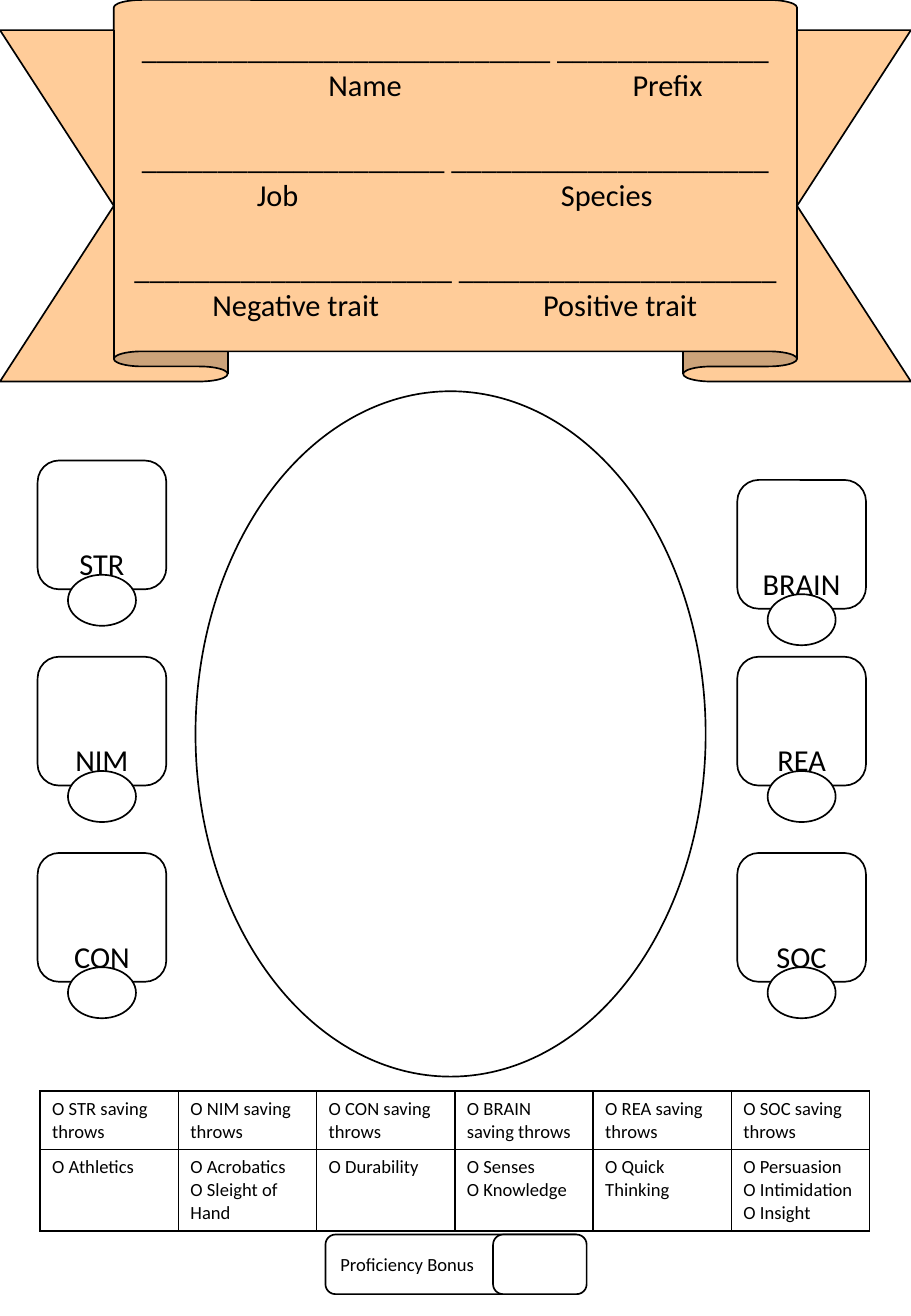
from lxml import etree
from pptx import Presentation
from pptx.dml.color import RGBColor
from pptx.enum.shapes import MSO_SHAPE as Shape
from pptx.enum.text import MSO_ANCHOR as Anchor, PP_ALIGN as Align
from pptx.oxml import parse_xml
from pptx.oxml.ns import nsdecls, qn
from pptx.util import Inches, Pt

BLACK = RGBColor(0, 0, 0)
WHITE = RGBColor(255, 255, 255)
PEACH = RGBColor(255, 204, 153)


def write(frame, lines, size=11, align=Align.LEFT, anchor=Anchor.MIDDLE):
    frame.word_wrap = True
    frame.vertical_anchor = anchor
    for index, line in enumerate(lines):
        paragraph = frame.paragraphs[0] if index == 0 else frame.add_paragraph()
        paragraph.alignment = align
        run = paragraph.add_run()
        run.text = line
        run.font.size = Pt(size)
        run.font.name = "Calibri"
        run.font.color.rgb = BLACK


def draw(kind, left, top, width, height, fill=WHITE):
    shape = slide.shapes.add_shape(kind, Inches(left), Inches(top), Inches(width), Inches(height))
    shape.shadow.inherit = False
    shape.fill.solid()
    shape.fill.fore_color.rgb = fill
    shape.line.color.rgb = BLACK
    shape.line.width = Pt(1)
    return shape


PAGE_WIDTH, PAGE_HEIGHT = 7.5, 10.83
deck = Presentation()
deck.slide_width, deck.slide_height = Inches(PAGE_WIDTH), Inches(PAGE_HEIGHT)
slide = deck.slides.add_slide(deck.slide_layouts[6])

banner = draw(Shape.UP_RIBBON, 0, 0, PAGE_WIDTH, 3.14, fill=PEACH)
banner.adjustments[0] = 0.079
banner.adjustments[1] = 0.75
banner_fields = [
    (27, 14, "Name", "Prefix", 1.97, 4.46),
    (20, 21, "Job", "Species", 1.25, 3.96),
    (21, 21, "Negative trait", "Positive trait", 1.4, 4.07),
]
banner_lines = []
for first_blank, second_blank, first, second, *_ in banner_fields:
    banner_lines += ["_" * first_blank + " " + "_" * second_blank, f"\t{first}\t{second}"]
write(banner.text_frame, banner_lines, size=18, align=Align.CENTER)
captions = banner.text_frame.paragraphs[1::2]
for caption, field in zip(captions, banner_fields):
    caption.alignment = Align.LEFT
    if caption is not captions[-1]:
        caption.space_after = Pt(22)
    properties = caption._p.get_or_add_pPr()
    tabs = etree.SubElement(properties, qn("a:tabLst"))
    for position in field[4:]:
        etree.SubElement(tabs, qn("a:tab"), pos=str(Inches(position)), algn="ctr")

portrait = draw(Shape.OVAL, 1.61, 3.22, 4.2, 5.64)

STAT_SIZE, STAT_TOP, STAT_PITCH = 1.06, 3.79, 1.615
BONUS_WIDTH, BONUS_HEIGHT = 0.56, 0.42
stat_columns = [(0.31, ["STR", "NIM", "CON"]), (6.07, ["BRAIN", "REA", "SOC"])]
for left, stats in stat_columns:
    for row, stat in enumerate(stats):
        top = 3.95 if stat == "BRAIN" else STAT_TOP + row * STAT_PITCH
        stat_box = draw(Shape.ROUNDED_RECTANGLE, left, top, STAT_SIZE, STAT_SIZE)
        write(stat_box.text_frame, [stat], size=18, align=Align.CENTER, anchor=Anchor.BOTTOM)
        stat_box.text_frame.margin_bottom = Inches(0.01)
        draw(Shape.OVAL, left + (STAT_SIZE - BONUS_WIDTH) / 2, top + 0.94, BONUS_WIDTH, BONUS_HEIGHT)

skills = {
    "STR": ["Athletics"],
    "NIM": ["Acrobatics", "Sleight of Hand"],
    "CON": ["Durability"],
    "BRAIN": ["Senses", "Knowledge"],
    "REA": ["Quick Thinking"],
    "SOC": ["Persuasion", "Intimidation", "Insight"],
}
skill_table = slide.shapes.add_table(
    2, len(skills), Inches(0.33), Inches(8.98), Inches(6.83), Inches(1.15)
).table
skill_table.first_row = False
skill_table.horz_banding = False
skill_table.rows[0].height = Inches(0.48)
skill_table.rows[1].height = Inches(0.67)
for column, (stat, names) in enumerate(skills.items()):
    for row, entries in enumerate([[f"{stat} saving throws"], names]):
        cell = skill_table.cell(row, column)
        write(cell.text_frame, [f"O {entry}" for entry in entries])
        cell.vertical_anchor = Anchor.TOP
        cell_properties = cell._tc.get_or_add_tcPr()
        for side in ("lnL", "lnR", "lnT", "lnB"):
            cell_properties.append(parse_xml(
                f'<a:{side} {nsdecls("a")} w="{Pt(1)}"><a:solidFill>'
                f'<a:srgbClr val="{BLACK}"/></a:solidFill></a:{side}>'
            ))
        cell.fill.solid()
        cell.fill.fore_color.rgb = WHITE

proficiency = draw(Shape.ROUNDED_RECTANGLE, 2.68, 10.16, 2.14, 0.49)
write(proficiency.text_frame, ["Proficiency Bonus"])
draw(Shape.ROUNDED_RECTANGLE, 4.06, 10.16, 0.77, 0.49)

deck.save("out.pptx")
